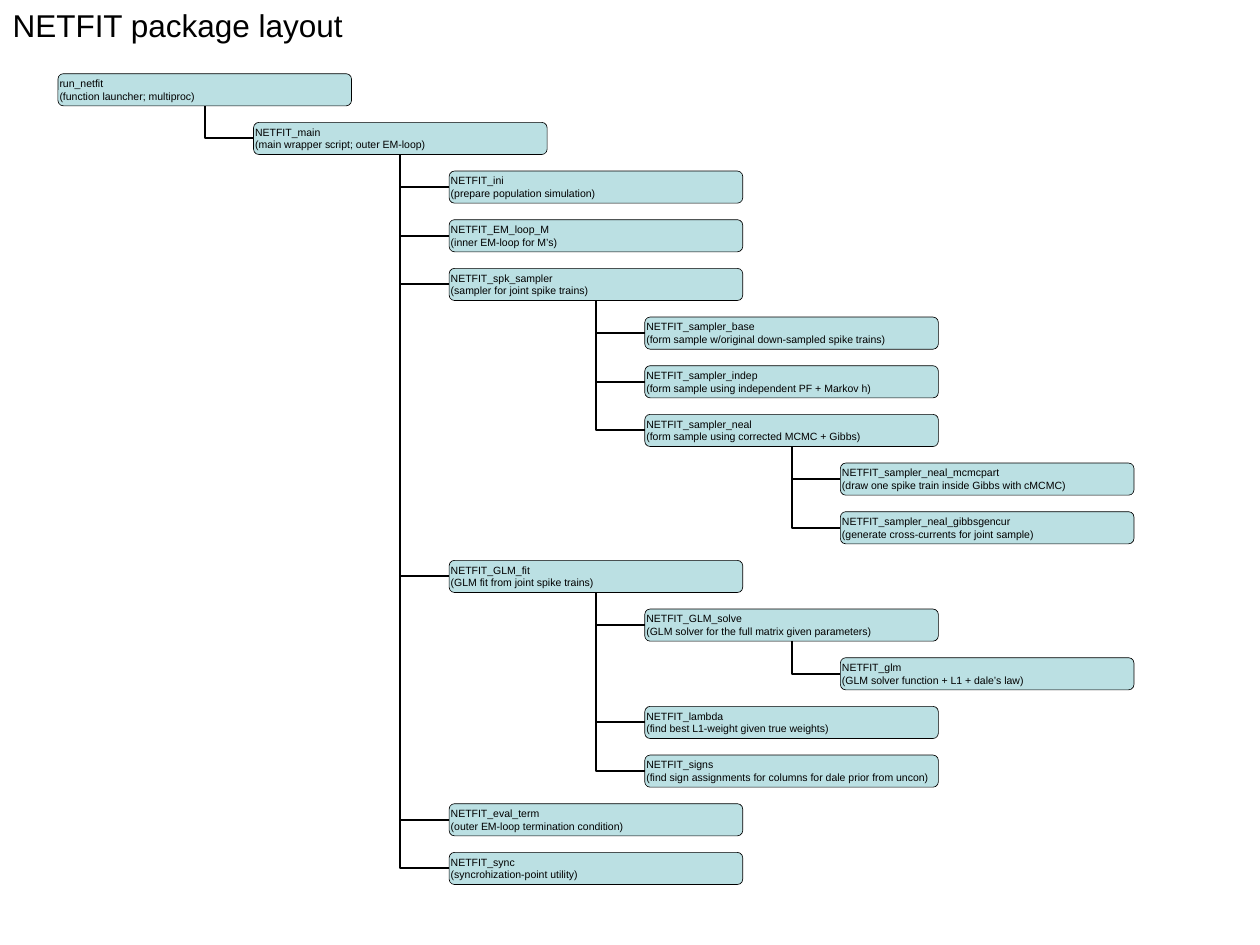
from dataclasses import dataclass

from lxml.etree import SubElement
from pptx import Presentation
from pptx.dml.color import RGBColor
from pptx.enum.shapes import MSO_CONNECTOR as Connector, MSO_SHAPE as Preset
from pptx.enum.text import MSO_ANCHOR as Anchor, MSO_AUTO_SIZE as AutoSize, PP_ALIGN as Align
from pptx.oxml.ns import qn
from pptx.shapes.autoshape import Shape
from pptx.slide import Slide
from pptx.text.text import TextFrame
from pptx.util import Inches, Pt

BLACK = "000000"
PALE_TEAL = "BBE0E3"
FIRST_LEFT, FIRST_TOP = 0.92, 1.17
BOX_WIDTH, BOX_HEIGHT = 4.66, 0.51
LEVEL_STEP = 12.42 / 4
ROW_STEP = 12.36 / 16


@dataclass(frozen=True)
class Module:
    level: int
    name: str
    purpose: str


MODULES = [
    Module(0, "run_netfit", "function launcher; multiproc"),
    Module(1, "NETFIT_main", "main wrapper script; outer EM-loop"),
    Module(2, "NETFIT_ini", "prepare population simulation"),
    Module(2, "NETFIT_EM_loop_M", "inner EM-loop for M’s"),
    Module(2, "NETFIT_spk_sampler", "sampler for joint spike trains"),
    Module(3, "NETFIT_sampler_base", "form sample w/original down-sampled spike trains"),
    Module(3, "NETFIT_sampler_indep", "form sample using independent PF + Markov h"),
    Module(3, "NETFIT_sampler_neal", "form sample using corrected MCMC + Gibbs"),
    Module(4, "NETFIT_sampler_neal_mcmcpart", "draw one spike train inside Gibbs with cMCMC"),
    Module(4, "NETFIT_sampler_neal_gibbsgencur", "generate cross-currents for joint sample"),
    Module(2, "NETFIT_GLM_fit", "GLM fit from joint spike trains"),
    Module(3, "NETFIT_GLM_solve", "GLM solver for the full matrix given parameters"),
    Module(4, "NETFIT_glm", "GLM solver function + L1 + dale’s law"),
    Module(3, "NETFIT_lambda", "find best L1-weight given true weights"),
    Module(3, "NETFIT_signs", "find sign assignments for columns for dale prior from uncon"),
    Module(2, "NETFIT_eval_term", "outer EM-loop termination condition"),
    Module(2, "NETFIT_sync", "syncrohization-point utility"),
]


def color(value: str) -> RGBColor:
    return RGBColor.from_string(value)


def write(frame: TextFrame, text: str, size: int, inset_x: float, inset_y: float) -> None:
    frame.text = text
    frame.margin_left = frame.margin_right = Inches(inset_x)
    frame.margin_top = frame.margin_bottom = Inches(inset_y)
    for paragraph in frame.paragraphs:
        paragraph.alignment = Align.LEFT
        for run in paragraph.runs:
            run.font.name = "Arial"
            run.font.size = Pt(size)
            run.font.color.rgb = color(BLACK)


def add_heading(slide: Slide) -> None:
    heading = slide.shapes.title
    heading.left, heading.top = Inches(0), Inches(0)
    heading.width, heading.height = Inches(5.65), Inches(0.8)
    frame = heading.text_frame
    write(frame, "NETFIT package layout", 36, 0.2, 0.1)
    frame.word_wrap = False
    frame.auto_size = AutoSize.SHAPE_TO_FIT_TEXT
    frame.vertical_anchor = Anchor.TOP


def add_module(slide: Slide, module: Module, row: int) -> Shape:
    box = slide.shapes.add_shape(
        Preset.ROUNDED_RECTANGLE,
        Inches(FIRST_LEFT + module.level * LEVEL_STEP),
        Inches(FIRST_TOP + row * ROW_STEP),
        Inches(BOX_WIDTH),
        Inches(BOX_HEIGHT),
    )
    box.shadow.inherit = False
    box.fill.solid()
    box.fill.fore_color.rgb = color(PALE_TEAL)
    box.line.color.rgb = color(BLACK)
    box.line.width = Pt(0.75)
    write(box.text_frame, f"{module.name}\v({module.purpose})", 12, 0, 0)
    box.text_frame.word_wrap = True
    box.text_frame.vertical_anchor = Anchor.MIDDLE
    return box


def add_branch(slide: Slide, child: Shape, parent: Shape) -> None:
    branch = slide.shapes.add_connector(
        Connector.ELBOW,
        child.left,
        child.top + child.height // 2,
        parent.left + parent.width // 2,
        parent.top + parent.height,
    )
    branch.begin_connect(child, 1)
    branch.end_connect(parent, 2)
    branch.line.color.rgb = color(BLACK)
    branch.line.width = Pt(2.25)
    properties = branch._element.spPr
    properties.find(qn("a:prstGeom")).set("prst", "bentConnector2")
    SubElement(properties, qn("a:effectLst"))


def main() -> None:
    deck = Presentation()
    deck.slide_width, deck.slide_height = Inches(20), Inches(15)
    slide = deck.slides.add_slide(deck.slide_layouts[5])
    add_heading(slide)
    latest: dict[int, Shape] = {}
    for row, module in enumerate(MODULES):
        box = add_module(slide, module, row)
        latest[module.level] = box
        if module.level:
            add_branch(slide, box, latest[module.level - 1])
    deck.save("out.pptx")


if __name__ == "__main__":
    main()
